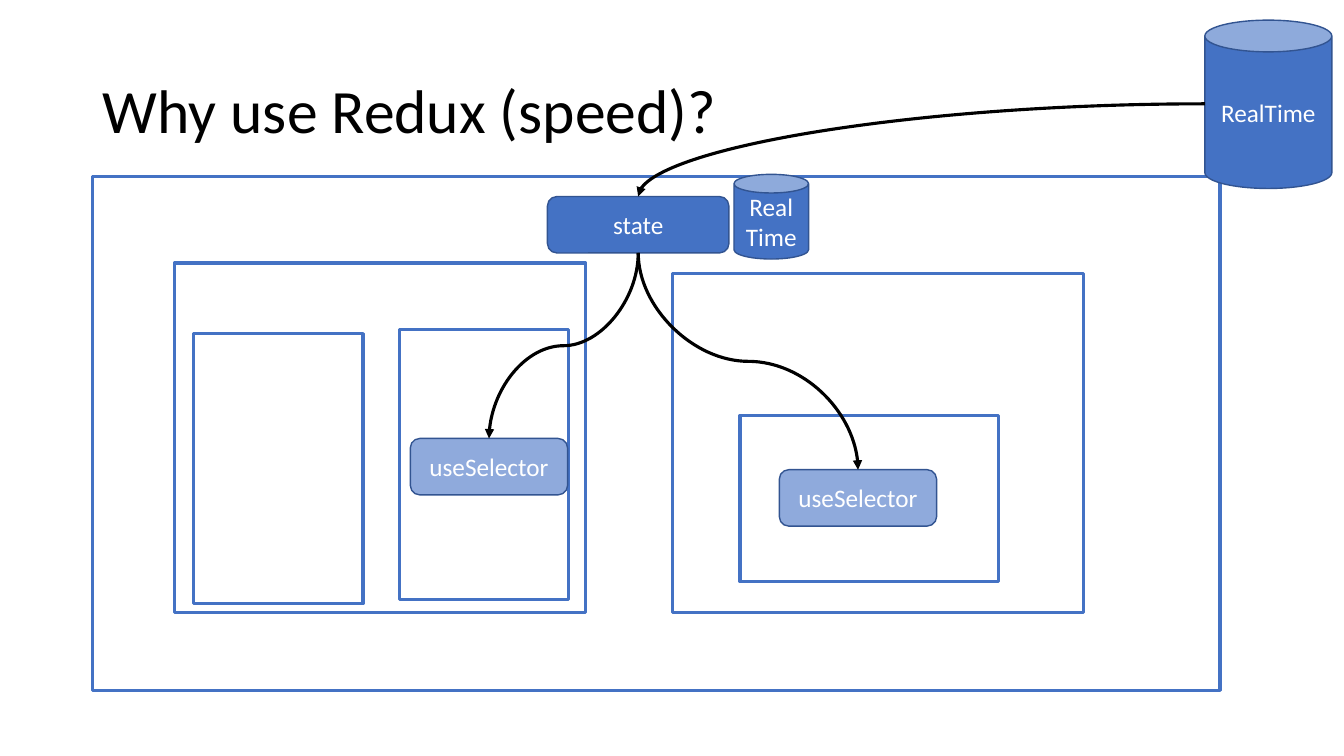
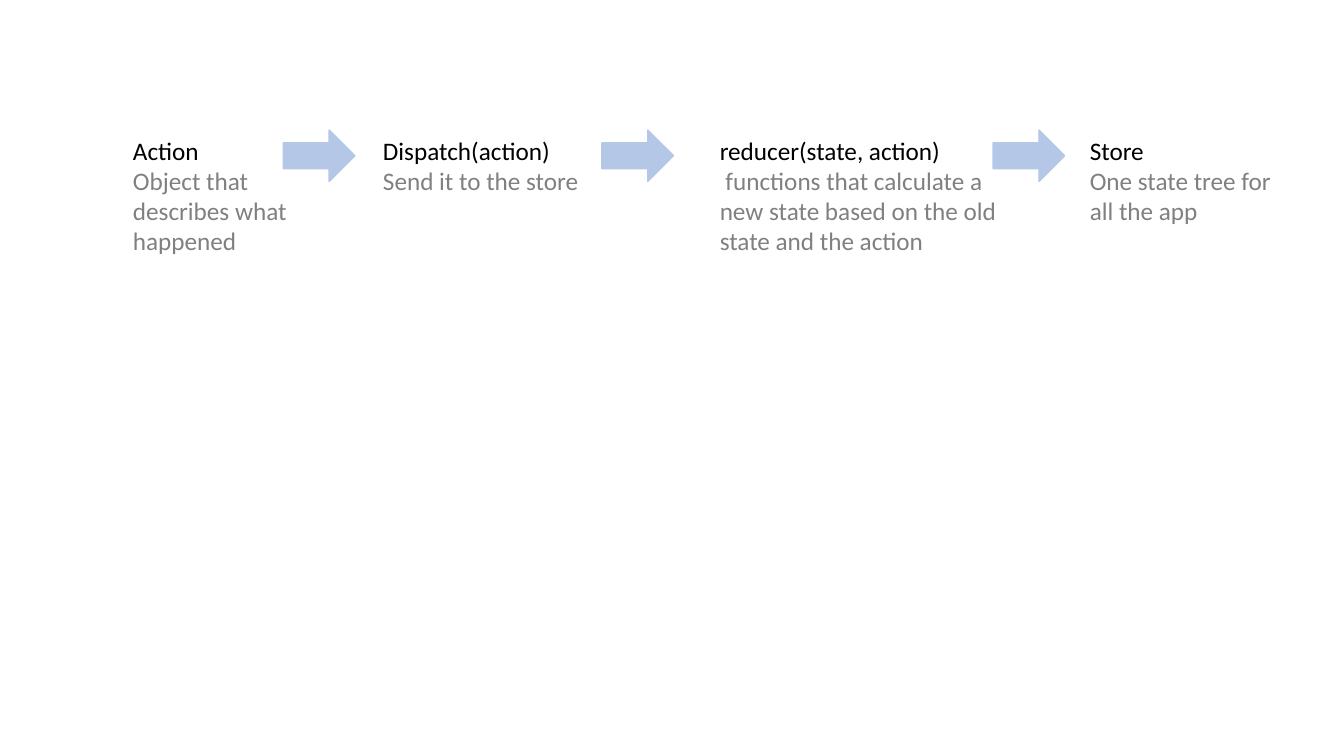
"""Build two slides on Redux: state reaching components, and the action flow."""
from typing import NamedTuple, Optional

import pptx
import pptx.dml.color
import pptx.enum.shapes
import pptx.enum.text
import pptx.oxml
import pptx.oxml.ns
import pptx.util
from pptx.presentation import Presentation
from pptx.shapes.autoshape import Shape
from pptx.slide import Slide
from pptx.text.text import _Paragraph

EMU_PER_PX = 9144
FONT = "Calibri"
BLACK, WHITE, GREY = "000000", "FFFFFF", "808080"
BLUE, LIGHT_BLUE, PALE_BLUE, DARK_BLUE = "4472C4", "8FAADC", "B4C7E7", "325491"
TITLE_SIZE, BODY_SIZE = 44, 18
THICK, THIN = 2.25, 1

MSO = pptx.enum.shapes.MSO_SHAPE
ALIGN = pptx.enum.text.PP_ALIGN
ANCHOR = pptx.enum.text.MSO_ANCHOR


class Box(NamedTuple):
    left: int
    top: int
    width: int
    height: int


class Node(NamedTuple):
    box: Box
    kind: MSO
    fill: Optional[str]
    line: str
    weight: float
    label: str = ""


class Step(NamedTuple):
    left: int
    width: int
    height: int
    name: str
    meaning: str


class Point(NamedTuple):
    x: int
    y: int


def frame(left: int, top: int, width: int, height: int) -> Node:
    return Node(Box(left, top, width, height), MSO.RECTANGLE, None, BLUE, THICK)


def selector(left: int, top: int) -> Node:
    return Node(Box(left, top, 156, 56), MSO.ROUNDED_RECTANGLE,
                LIGHT_BLUE, DARK_BLUE, THIN, "useSelector")


def database(left: int, top: int, width: int, height: int) -> Node:
    return Node(Box(left, top, width, height), MSO.CAN,
                BLUE, DARK_BLUE, THIN, "RealTime")


COMPONENTS = [
    frame(173, 261, 408, 347),
    frame(667, 271, 408, 337),
    frame(92, 175, 1118, 510),
    Node(Box(543, 195, 180, 56), MSO.ROUNDED_RECTANGLE, BLUE, DARK_BLUE, THIN, "state"),
    frame(192, 331, 168, 268),
    frame(396, 327, 168, 268),
    frame(734, 412, 256, 165),
    selector(773, 466),
    selector(407, 435),
    database(1195, 20, 126, 167),
    database(728, 173, 74, 84),
]

STEP_TOP = 129
STEPS = [
    Step(122, 212, 131, "Action", "Object that describes what happened"),
    Step(370, 298, 71, "Dispatch(action)", "Send it to the store"),
    Step(704, 298, 131, "reducer(state, action)",
         " functions that calculate a new state based on the old state and the action"),
    Step(1071, 212, 101, "Store", "One state tree for all the app"),
]
STEP_ARROW_LEFTS = [281, 597, 985]


def px(length: float) -> pptx.util.Emu:
    return pptx.util.Emu(round(length * EMU_PER_PX))


def rgb(value: str) -> pptx.dml.color.RGBColor:
    return pptx.dml.color.RGBColor.from_string(value)


def add_run(paragraph: _Paragraph, text: str, size: int, color: str) -> None:
    run = paragraph.add_run()
    run.text = text
    run.font.name = FONT
    run.font.size = pptx.util.Pt(size)
    run.font.color.rgb = rgb(color)


def draw_title(slide: Slide, text: str, box: Box) -> None:
    title = slide.shapes.title
    title.left, title.top, title.width, title.height = map(px, box)
    title.text_frame.vertical_anchor = ANCHOR.MIDDLE
    paragraph = title.text_frame.paragraphs[0]
    paragraph.alignment = ALIGN.LEFT
    paragraph.line_spacing = 0.9
    add_run(paragraph, text, TITLE_SIZE, BLACK)


def draw_node(slide: Slide, node: Node) -> Shape:
    shape = slide.shapes.add_shape(node.kind, *map(px, node.box))
    shape.shadow.inherit = False
    if node.fill is None:
        shape.fill.background()
    else:
        shape.fill.solid()
        shape.fill.fore_color.rgb = rgb(node.fill)
    shape.line.color.rgb = rgb(node.line)
    shape.line.width = pptx.util.Pt(node.weight)
    if node.label:
        shape.text_frame.vertical_anchor = ANCHOR.MIDDLE
        paragraph = shape.text_frame.paragraphs[0]
        paragraph.alignment = ALIGN.CENTER
        add_run(paragraph, node.label, BODY_SIZE, WHITE)
    return shape


def draw_curve(slide: Slide, start: Point, end: Point, preset: str,
               rotation: int = 0) -> None:
    curve = slide.shapes.add_connector(
        pptx.enum.shapes.MSO_CONNECTOR.CURVE, *map(px, (*start, *end)))
    curve.line.color.rgb = rgb(BLACK)
    curve.line.width = pptx.util.Pt(THICK)
    properties = curve._element.spPr
    properties.find(pptx.oxml.ns.qn("a:prstGeom")).set("prst", preset)
    if rotation:
        properties.find(pptx.oxml.ns.qn("a:xfrm")).set("rot", str(rotation * 60000))
    head = pptx.oxml.parse_xml(
        f'<a:tailEnd {pptx.oxml.ns.nsdecls("a")} type="triangle"/>')
    properties.find(pptx.oxml.ns.qn("a:ln")).append(head)
    properties.append(pptx.oxml.parse_xml(
        f'<a:effectLst {pptx.oxml.ns.nsdecls("a")}/>'))


def draw_falling_curve(slide: Slide, start: Point, end: Point) -> None:
    across, down = end.x - start.x, end.y - start.y
    middle_x, middle_y = (start.x + end.x) / 2, (start.y + end.y) / 2
    side = 1 if across > 0 else -1
    half_run, half_rise = side * down / 2, abs(across) / 2
    draw_curve(slide,
               Point(middle_x + half_run, middle_y - half_rise),
               Point(middle_x - half_run, middle_y + half_rise),
               "curvedConnector3", 180 + 90 * side)


def draw_step(slide: Slide, step: Step) -> None:
    box = Box(step.left, STEP_TOP, step.width, step.height)
    text = slide.shapes.add_textbox(*map(px, box)).text_frame
    text.word_wrap = True
    text.auto_size = pptx.enum.text.MSO_AUTO_SIZE.SHAPE_TO_FIT_TEXT
    add_run(text.paragraphs[0], step.name, BODY_SIZE, BLACK)
    add_run(text.add_paragraph(), step.meaning, BODY_SIZE, GREY)


def build_speed_slide(deck: Presentation) -> None:
    slide = deck.slides.add_slide(deck.slide_layouts[5])
    draw_title(slide, "Why use Redux (speed)?", Box(92, 40, 1150, 145))
    for component in COMPONENTS:
        draw_node(slide, component)
    draw_curve(slide, Point(1195, 103), Point(633, 195), "curvedConnector2")
    for selector_top in (Point(485, 435), Point(851, 466)):
        draw_falling_curve(slide, Point(633, 251), selector_top)


def build_flow_slide(deck: Presentation) -> None:
    slide = deck.slides.add_slide(deck.slide_layouts[6])
    for step in STEPS:
        draw_step(slide, step)
    for left in STEP_ARROW_LEFTS:
        draw_node(slide, Node(Box(left, STEP_TOP, 71, 51), MSO.RIGHT_ARROW,
                              PALE_BLUE, PALE_BLUE, THIN))


def main() -> None:
    deck = pptx.Presentation()
    deck.slide_width, deck.slide_height = px(1333), px(750)
    build_speed_slide(deck)
    build_flow_slide(deck)
    deck.save("out.pptx")


if __name__ == "__main__":
    main()
